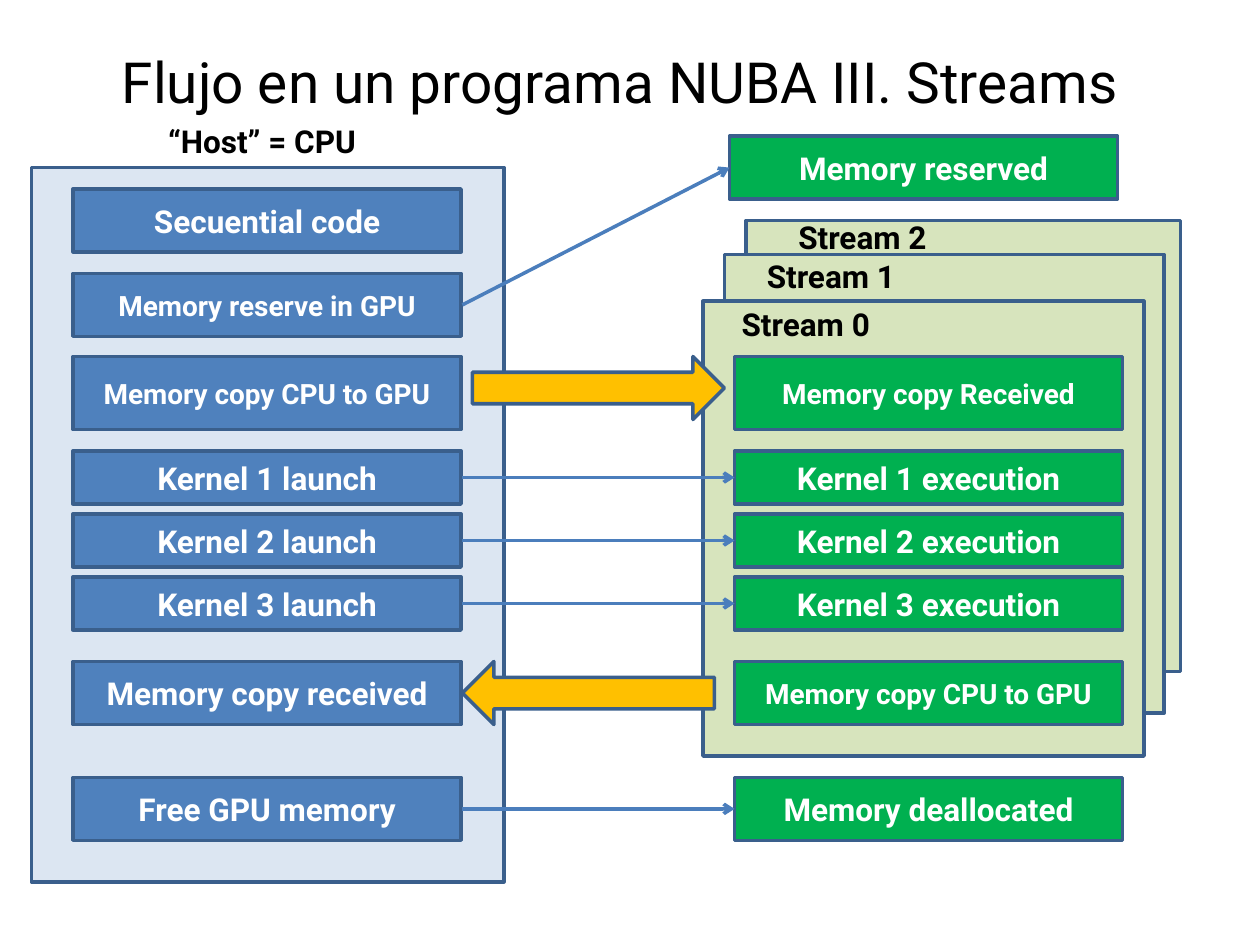
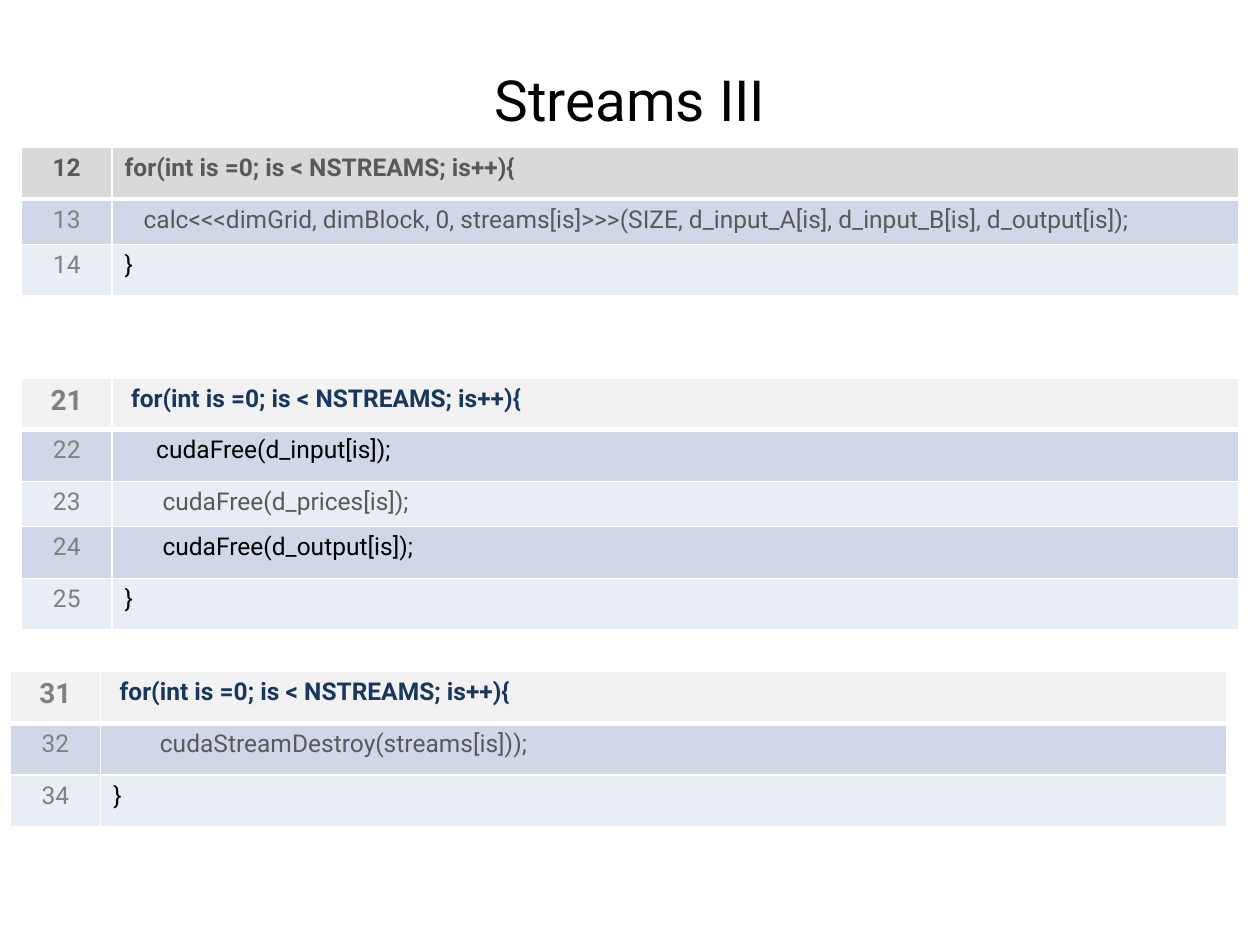
from lxml.etree import SubElement
from pptx import Presentation
from pptx.dml.color import RGBColor
from pptx.enum.shapes import MSO_CONNECTOR, MSO_SHAPE
from pptx.enum.text import MSO_ANCHOR, MSO_AUTO_SIZE, PP_ALIGN
from pptx.oxml.ns import qn
from pptx.util import Inches, Pt

FONT = "Roboto"
BLACK, WHITE, GRAY, DARK_GRAY, NAVY = "000000", "FFFFFF", "808080", "595959", "17375E"
HOST_FILL, HOST_PANEL = "4F81BD", "DCE6F2"
DEVICE_FILL, STREAM_PANEL = "00B050", "D7E4BD"
OUTLINE, LINK, COPY_ARROW = "3A5F8C", "4B7EBC", "FFC000"
HEADER, LIGHT_HEADER = "D9D9D9", "F2F2F2"
BANDS = ["D0D8E8", "E9EDF4"]

STEP_W = 3.08
SPACE_W = 0.05
KERNELS = [(2.25 + 0.5 * i, 0.42, f"Kernel {i + 1}") for i in range(3)]
HOST_STEPS = [
    (0.17, 0.5, "Secuential code", 18),
    (0.84, 0.5, "Memory reserve in GPU", 16),
    (1.5, 0.58, "Memory copy CPU to GPU", 16),
    *[(top, h, f"{name} launch", 18) for top, h, name in KERNELS],
    (3.92, 0.5, "Memory copy received", 18),
    (4.84, 0.5, "Free GPU memory", 18),
]
DEVICE_STEPS = [
    (1.5, 0.58, "Memory copy Received", 16),
    *[(top, h, f"{name} execution", 18) for top, h, name in KERNELS],
    (3.92, 0.5, "Memory copy CPU to GPU", 16),
    (4.84, 0.5, "Memory deallocated", 18),
]
STREAMS = [
    ("Stream 2", (5.92, 1.75, 3.45, 3.58), (5.47, 1.68)),
    ("Stream 1", (5.75, 2.02, 3.49, 3.64), (5.22, 1.99)),
    ("Stream 0", (5.58, 2.39, 3.5, 3.61), (5.02, 2.37)),
]
LOOP = "for(int is =0; is < NSTREAMS; is++){"
LISTINGS = [
    ((0.17, 1.17), HEADER, DARK_GRAY, 14, [
        ("12", 0, LOOP, DARK_GRAY, 0.41),
        ("13", 3, "calc<<<dimGrid, dimBlock, 0, streams[is]>>>"
                  "(SIZE, d_input_A[is], d_input_B[is], d_output[is]);", DARK_GRAY, 0.36),
        ("14", 0, "}", BLACK, 0.41),
    ]),
    ((0.17, 3), LIGHT_HEADER, GRAY, 16, [
        ("21", 1, LOOP, NAVY, 0.41),
        ("22", 5, "cudaFree(d_input[is]);", BLACK, 0.41),
        ("23", 6, "cudaFree(d_prices[is]);", DARK_GRAY, 0.36),
        ("24", 6, "cudaFree(d_output[is]);", BLACK, 0.41),
        ("25", 0, "}", BLACK, 0.41),
    ]),
    ((0.08, 5.33), LIGHT_HEADER, GRAY, 16, [
        ("31", 1, LOOP, NAVY, 0.41),
        ("32", 7.4, "cudaStreamDestroy(streams[is]));", DARK_GRAY, 0.41),
        ("34", 0, "}", BLACK, 0.41),
    ]),
]


def rgb(value):
    return RGBColor.from_string(value)


def box_args(box):
    return [Inches(v) for v in box]


def write(tf, text, size, color, bold=False, align=PP_ALIGN.CENTER):
    p = tf.paragraphs[0]
    p.alignment = align
    r = p.add_run()
    r.text = text
    for name, value in {"name": FONT, "size": Pt(size), "bold": bold}.items():
        setattr(r.font, name, value)
    r.font.color.rgb = rgb(color)


def add_title(s, text, box):
    title = s.shapes.title
    for name, value in zip(("left", "top", "width", "height"), box_args(box)):
        setattr(title, name, value)
    tf = title.text_frame
    settings = {"auto_size": MSO_AUTO_SIZE.NONE, "word_wrap": True,
                "vertical_anchor": MSO_ANCHOR.MIDDLE}
    for name, value in settings.items():
        setattr(tf, name, value)
    write(tf, text, 32.4, BLACK)


def add_label(s, text, box):
    tf = s.shapes.add_textbox(*box_args(box)).text_frame
    tf.word_wrap = True
    write(tf, text, 18, BLACK, True)


def add_block(s, box, fill, kind=MSO_SHAPE.RECTANGLE):
    sp = s.shapes.add_shape(kind, *box_args(box))
    sp.shadow.inherit = False
    sp.fill.solid()
    sp.fill.fore_color.rgb = rgb(fill)
    sp.line.color.rgb = rgb(OUTLINE)
    sp.line.width = Pt(2)
    return sp


def add_step(s, box, fill, text, size):
    tf = add_block(s, box, fill).text_frame
    tf.word_wrap = True
    tf.vertical_anchor = MSO_ANCHOR.MIDDLE
    write(tf, text, size, WHITE, True)


def add_steps(s, left, top, fill, steps):
    for offset, height, text, size in steps:
        add_step(s, (left, top + offset, STEP_W, height), fill, text, size)


def add_link(s, x1, y1, x2, y2):
    link = s.shapes.add_connector(MSO_CONNECTOR.STRAIGHT, *box_args((x1, y1, x2, y2)))
    link.line.color.rgb = rgb(LINK)
    link.line.width = Pt(2)
    SubElement(link.line._get_or_add_ln(), qn("a:tailEnd"), type="arrow")
    SubElement(link._element.spPr, qn("a:effectLst"))


def add_host(s, left, top, width, height):
    add_block(s, (left, top, width, height), HOST_PANEL)
    add_label(s, "“Host” = CPU", (left + 0.58, top - 0.41, 2.5, 0.4))
    add_steps(s, left + 0.33, top, HOST_FILL, HOST_STEPS)


def add_device(s, left, top):
    for name, panel, label in STREAMS:
        add_block(s, panel, STREAM_PANEL)
        add_label(s, name, (*label, 2.75, 0.4))
    add_step(s, (left - 0.04, top - 0.25, STEP_W, 0.5), DEVICE_FILL, "Memory reserved", 18)
    add_steps(s, left, top, DEVICE_FILL, DEVICE_STEPS)


def add_transfers(s, left, right, top):
    add_link(s, left, top + 1.09, right - 0.04, top)
    for offset, height, *_ in KERNELS + [DEVICE_STEPS[-1]]:
        y = top + offset + height / 2
        add_link(s, left, y, right, y)
    for x, offset, rotation in ((left + 0.08, 1.5, 0), (left, 3.92, 180)):
        arrow = add_block(s, (x, top + offset, 2, 0.5), COPY_ARROW, MSO_SHAPE.RIGHT_ARROW)
        arrow.rotation = rotation


def style_cell(cell, fill, top, bottom):
    tc_pr = cell._tc.get_or_add_tcPr()
    for side, width in (("L", 1), ("R", 1), ("T", top), ("B", bottom)):
        ln = SubElement(tc_pr, qn(f"a:ln{side}"), w=str(Pt(width)))
        solid = SubElement(ln, qn("a:solidFill"))
        SubElement(solid, qn("a:srgbClr"), val=WHITE)
    cell.fill.solid()
    cell.fill.fore_color.rgb = rgb(fill)


def add_listing(s, origin, header, number_color, number_size, lines):
    height = sum(line[-1] for line in lines)
    table = s.shapes.add_table(len(lines), 2, *box_args((*origin, 9.66, height))).table
    for column, width in zip(table.columns, (0.72, 8.94)):
        column.width = Inches(width)
    for i, (number, indent, code, color, row_height) in enumerate(lines):
        table.rows[i].height = Inches(row_height)
        first = i == 0
        fill = header if first else BANDS[(i - 1) % 2]
        number_cell, code_cell = table.cell(i, 0), table.cell(i, 1)
        for cell in (number_cell, code_cell):
            style_cell(cell, fill, 3 if i == 1 else 1, 3 if first else 1)
        write(number_cell.text_frame, number, number_size if first else 14,
              number_color if first else GRAY, first)
        code_cell.margin_left = Inches(0.1 + indent * SPACE_W)
        write(code_cell.text_frame, code, 14, color, first, PP_ALIGN.LEFT)


def flow_slide(prs):
    s = prs.slides.add_slide(prs.slide_layouts[5])
    add_title(s, "Flujo en un programa NUBA III. Streams", (0.42, 0.23, 9, 0.83))
    add_host(s, 0.25, 1.33, 3.75, 5.67)
    add_device(s, 5.83, 1.33)
    add_transfers(s, 3.67, 5.83, 1.33)


def code_slide(prs):
    s = prs.slides.add_slide(prs.slide_layouts[5])
    add_title(s, "Streams III", (0.5, 0.45, 9, 0.67))
    for listing in LISTINGS:
        add_listing(s, *listing)


def main():
    prs = Presentation()
    prs.slide_width, prs.slide_height = Inches(10), Inches(7.5)
    flow_slide(prs)
    code_slide(prs)
    prs.save("out.pptx")


if __name__ == "__main__":
    main()
